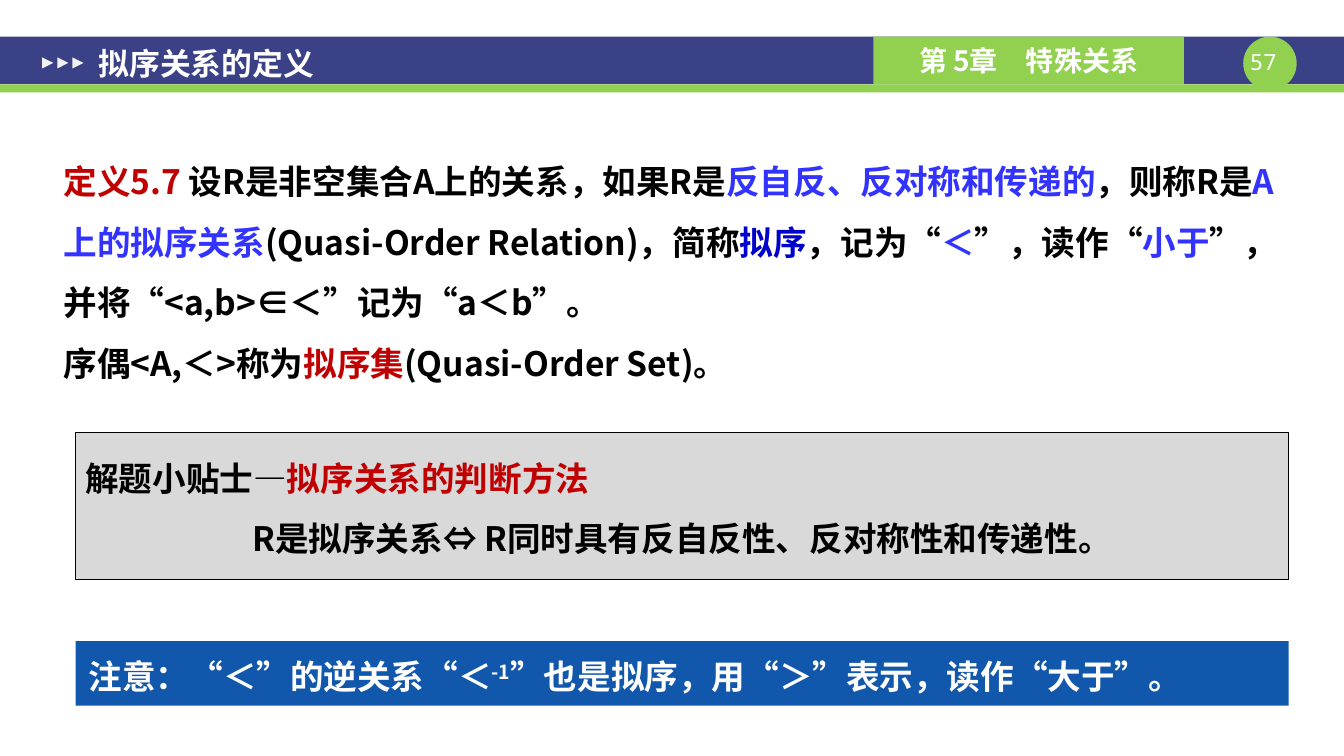
import pptx
import pptx.util
import pptx.oxml.ns
import pptx.dml.color
import pptx.enum.shapes
import pptx.enum.text
import pptx.enum.lang

Pt = pptx.util.Pt
SHAPE = pptx.enum.shapes.MSO_SHAPE
ALIGN = pptx.enum.text.PP_ALIGN
ANCHOR = pptx.enum.text.MSO_ANCHOR

NAVY, GREEN, BLUE = "3A4187", "92D050", "1157AB"
WHITE, PALE, GREY, BLACK = "FFFFFF", "F2F2F2", "D9D9D9", "000000"
RED, VIOLET, DEEP_BLUE = "C00000", "3333FF", "0000CC"
WIDE = (9.4, 5)


def colour(value):
    return pptx.dml.color.RGBColor.from_string(value)


class Deck:
    """Holds the text style and the current slide."""

    font = "Noto Sans CJK SC"

    def __init__(self, width, height):
        self.show = pptx.Presentation()
        self.show.slide_width, self.show.slide_height = Pt(width), Pt(height)
        self.slide = self.show.slides.add_slide(self.show.slide_layouts[6])

    def shape(self, kind, box, fill, line=None, rotation=0):
        item = self.slide.shapes.add_shape(kind, *map(Pt, box))
        item.shadow.inherit = False
        item.rotation = rotation
        item.fill.solid()
        item.fill.fore_color.rgb = colour(fill)
        if line:
            item.line.color.rgb = colour(line)
            item.line.width = Pt(0.75)
        else:
            item.line.fill.background()
        return item

    def textbox(self, box):
        return self.slide.shapes.add_textbox(*map(Pt, box))

    def text(self, item, paragraphs, insets=(7.2, 3.6), anchor=ANCHOR.TOP, **style):
        """Each paragraph is (alignment, line spacing, [(text, colour), ...])."""
        across, down = map(Pt, insets)
        frame = item.text_frame
        settings = {"word_wrap": True, "vertical_anchor": anchor,
                    "margin_left": across, "margin_right": across,
                    "margin_top": down, "margin_bottom": down}
        for name, value in settings.items():
            setattr(frame, name, value)
        for index, (align, spacing, pieces) in enumerate(paragraphs):
            paragraph = frame.add_paragraph() if index else frame.paragraphs[0]
            paragraph.alignment = align
            paragraph.line_spacing = spacing
            for words, ink in pieces:
                self.run(paragraph, words, ink, **style)

    def run(self, paragraph, words, ink, size=24, bold=True, font=None):
        run = paragraph.add_run()
        run.text = words
        face = font or self.font
        look = {"name": face, "size": Pt(size), "bold": bold,
                "language_id": pptx.enum.lang.MSO_LANGUAGE_ID.SIMPLIFIED_CHINESE}
        for name, value in look.items():
            setattr(run.font, name, value)
        run.font.color.rgb = colour(ink)
        # East Asian typeface, placed right after the Latin one
        properties = run.font._element
        latin = properties.find(pptx.oxml.ns.qn("a:latin"))
        east = properties.makeelement(pptx.oxml.ns.qn("a:ea"), {"typeface": face})
        latin.addnext(east)
        # Superscript
        if words == "-1":
            properties.set("baseline", "30000")


def main():
    deck = Deck(960.5, 540)

    # Header band
    deck.shape(SHAPE.RECTANGLE, (0, 26.2, 960.5, 34), NAVY)
    deck.shape(SHAPE.RECTANGLE, (0, 60.2, 960.5, 5.8), GREEN)

    # Page number
    deck.shape(SHAPE.OVAL, (888.5, 26.2, 38.2, 38.2), GREEN)
    page = deck.textbox((888.5, 34.6, 38.2, 19.4))
    deck.text(page, [(ALIGN.CENTER, 1, [("57 ", WHITE)])], (0, 0),
              size=16, bold=False, font="Noto Sans Mono")

    # Chapter label
    chapter = deck.shape(SHAPE.RECTANGLE, (624.2, 26.2, 221.8, 34), GREEN)
    deck.text(chapter, [(ALIGN.CENTER, 1, [("第 5章　特殊关系", WHITE)])],
              anchor=ANCHOR.MIDDLE, size=20)

    # Title with its three arrows
    for step in range(3):
        deck.shape(SHAPE.ISOSCELES_TRIANGLE, (30.2 + 10.8 * step, 41, 7.9, 7.9),
                   PALE, rotation=90)
    title = deck.textbox((61.2, 28.1, 419.8, 33.8))
    deck.text(title, [(ALIGN.LEFT, 1, [("拟序关系的定义", WHITE)])], WIDE,
              ANCHOR.MIDDLE, size=22)

    # Definition
    definition = deck.textbox((36, 95.8, 887.8, 198))
    deck.text(definition, [
        (ALIGN.LEFT, 1.5, [
            ("定义5.7 ", RED),
            ("设R是非空集合A上的关系，如果R是", BLACK),
            ("反自反、反对称和传递的", VIOLET),
            ("，则称R是", BLACK),
            ("A上的拟序关系", VIOLET),
            ("(Quasi-Order Relation)，简称", BLACK),
            ("拟序", DEEP_BLUE),
            ("，记为“", BLACK),
            ("＜", VIOLET),
            ("”，读作“", BLACK),
            ("小于", VIOLET),
            ("”，并将“<a,b>∈＜”记为“a＜b”。", BLACK)]),
        (ALIGN.LEFT, 1.5, [
            ("序偶<A,＜>称为", BLACK),
            ("拟序集", RED),
            ("(Quasi-Order Set)。", BLACK)])], WIDE)

    # Tip
    tip = deck.shape(SHAPE.RECTANGLE, (54, 308.9, 866.9, 105.1), GREY, BLACK)
    deck.text(tip, [
        (ALIGN.JUSTIFY, 1.5, [("解题小贴士—", BLACK), ("拟序关系的判断方法", RED)]),
        (ALIGN.CENTER, 1.5, [
            ("R是拟序关系⇔ R同时具有反自反性、反对称性和传递性。", BLACK)])])

    # Note
    note = deck.shape(SHAPE.RECTANGLE, (54, 457.9, 866.9, 46.1), BLUE)
    deck.text(note, [(ALIGN.LEFT, 1.2, [
        ("注意：“＜”的逆关系“＜", WHITE),
        ("-1", WHITE),
        ("”也是拟序，用“＞”表示，读作“大于”。", WHITE)])], WIDE)

    deck.show.save("out.pptx")


if __name__ == "__main__":
    main()
